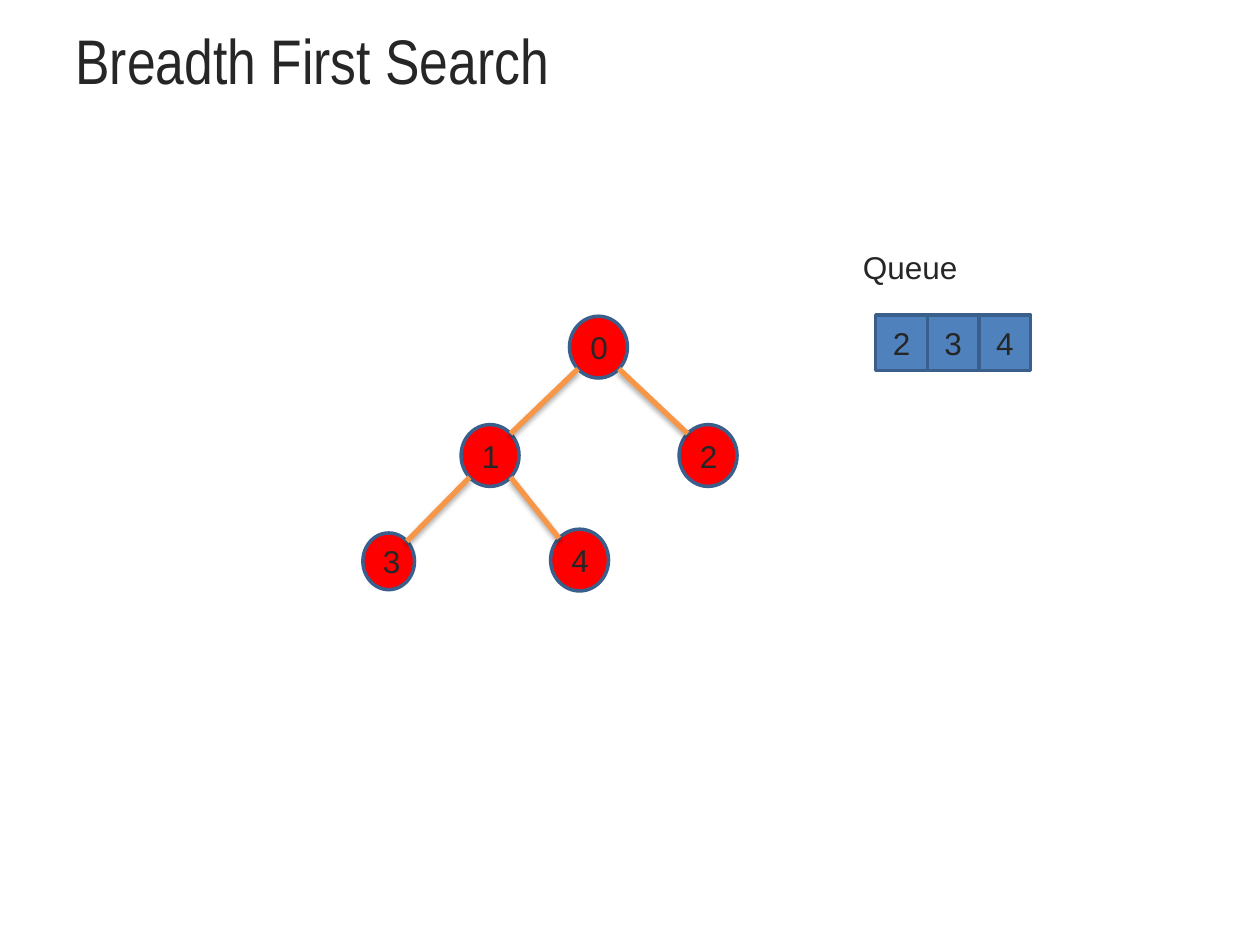
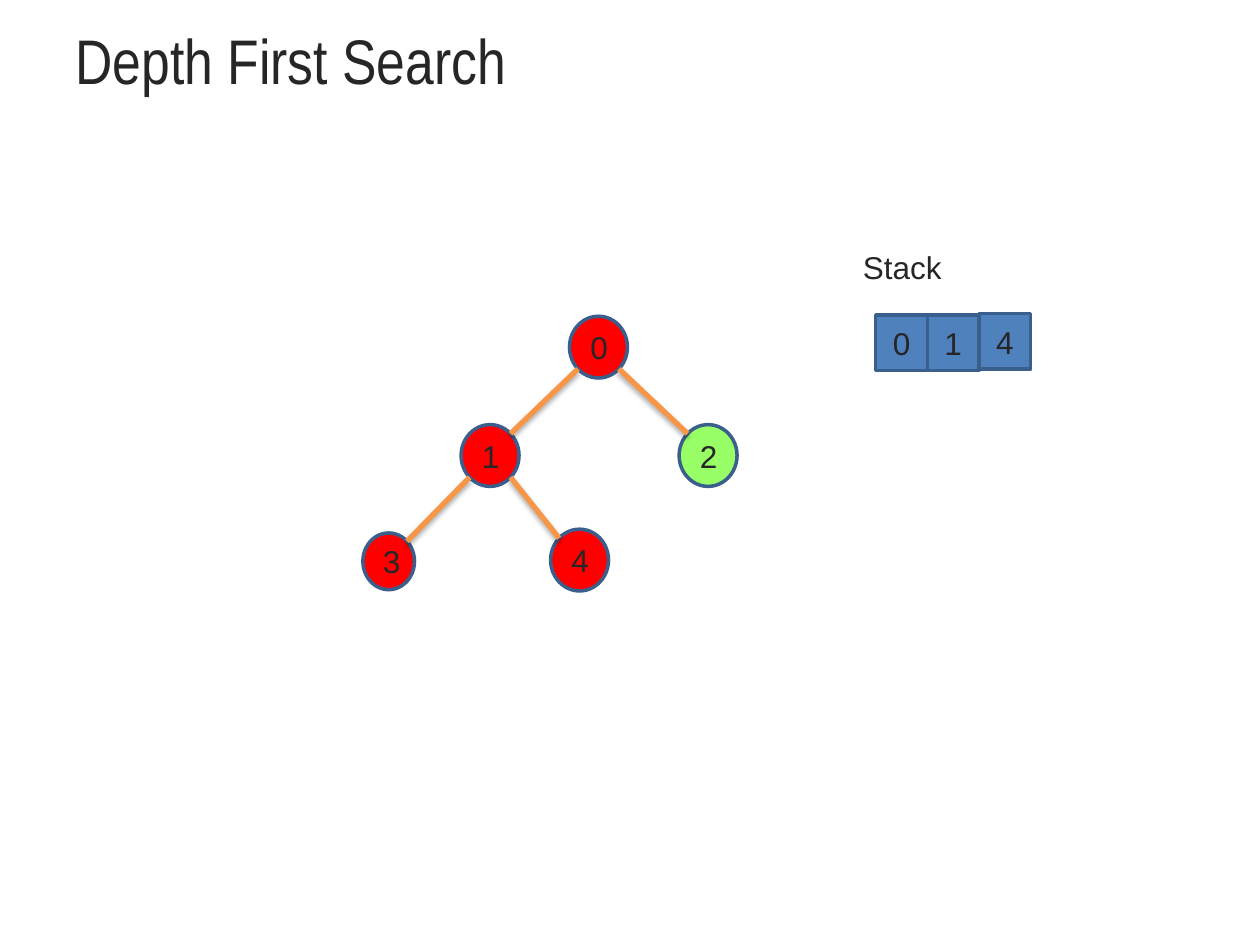
from math import copysign, sqrt

from lxml.etree import SubElement
from pptx import Presentation
from pptx.dml.color import RGBColor
from pptx.enum.shapes import MSO_CONNECTOR, MSO_SHAPE
from pptx.enum.text import MSO_ANCHOR, MSO_AUTO_SIZE, PP_ALIGN
from pptx.oxml.ns import qn
from pptx.util import Inches, Pt

# Shared style
INK = RGBColor(0x26, 0x26, 0x26)
VISITED = RGBColor(0xFF, 0x00, 0x00)
UNVISITED = RGBColor(0x99, 0xFF, 0x66)
CELL_FILL = RGBColor(0x4F, 0x81, 0xBD)
OUTLINE = RGBColor(0x3A, 0x5F, 0x8C)
EDGE = RGBColor(0xF7, 0x96, 0x46)
TITLE_FONT = "Arial Narrow"
BODY_FONT = "Arial"

# Tree: node -> left, top, width, height in inches; edges run parent to child
NODES = {
    "0": (4.52, 2.51, 0.46, 0.49),
    "1": (3.66, 3.37, 0.46, 0.49),
    "3": (2.88, 4.23, 0.41, 0.45),
    "4": (4.37, 4.20, 0.46, 0.49),
    "2": (5.39, 3.37, 0.46, 0.49),
}
EDGES = [("0", "1"), ("0", "2"), ("1", "3"), ("1", "4")]

# Row of cells that shows the queue or the stack
CELL_LEFT, CELL_TOP = 6.95, 2.5
CELL_WIDTH, CELL_HEIGHT = 0.41, 0.44


def style_text(frame, font_name, size, align):
    for paragraph in frame.paragraphs:
        paragraph.alignment = align
        for run in paragraph.runs:
            run.font.name = font_name
            run.font.size = Pt(size)
            run.font.color.rgb = INK


def add_title(slide, text):
    title = slide.shapes.title
    title.left, title.top = Inches(0.5), Inches(0.08)
    title.width, title.height = Inches(9), Inches(0.78)
    title.text_frame.text = text
    title.text_frame.vertical_anchor = MSO_ANCHOR.MIDDLE
    style_text(title.text_frame, TITLE_FONT, 36, PP_ALIGN.LEFT)


def add_numbered_shape(slide, preset, bounds, number, fill):
    numbered = slide.shapes.add_shape(preset, *map(Inches, bounds))
    numbered.shadow.inherit = False
    numbered.fill.solid()
    numbered.fill.fore_color.rgb = fill
    numbered.line.color.rgb = OUTLINE
    numbered.line.width = Pt(2)
    numbered.text_frame.text = number
    numbered.text_frame.vertical_anchor = MSO_ANCHOR.MIDDLE
    style_text(numbered.text_frame, BODY_FONT, 18, PP_ALIGN.CENTER)


def rim_point(node, x_side, y_side):
    """Diagonal point on a node's rim; each side is -1 or 1."""
    left, top, width, height = NODES[node]
    return (left + width / 2 * (1 + x_side / sqrt(2)),
            top + height / 2 * (1 + y_side / sqrt(2)))


def add_soft_shadow(connector):
    effects = SubElement(connector._element.spPr, qn("a:effectLst"))
    shadow = SubElement(effects, qn("a:outerShdw"), blurRad=str(Pt(3.1)),
                        dist=str(Pt(1.8)), dir="5400000", rotWithShape="0")
    color = SubElement(shadow, qn("a:srgbClr"), val="000000")
    SubElement(color, qn("a:alpha"), val="35000")


def add_edge(slide, parent, child):
    x_side = copysign(1, NODES[child][0] - NODES[parent][0])
    start = rim_point(parent, x_side, 1)
    end = rim_point(child, -x_side, -1)
    edge = slide.shapes.add_connector(MSO_CONNECTOR.STRAIGHT, *map(Inches, start + end))
    edge.line.color.rgb = EDGE
    edge.line.width = Pt(3)
    add_soft_shadow(edge)


def add_tree(slide, unvisited):
    for node, bounds in NODES.items():
        fill = UNVISITED if node in unvisited else VISITED
        add_numbered_shape(slide, MSO_SHAPE.OVAL, bounds, node, fill)
    for parent, child in EDGES:
        add_edge(slide, parent, child)


def add_store(slide, name, numbers, last_lift):
    """Label and cells; the last cell sits last_lift inches higher."""
    label = slide.shapes.add_textbox(Inches(6.75), Inches(1.92), Inches(1.56), Inches(0.4))
    label.text_frame.word_wrap = True
    label.text_frame.auto_size = MSO_AUTO_SIZE.SHAPE_TO_FIT_TEXT
    label.text_frame.text = name
    style_text(label.text_frame, BODY_FONT, 18, PP_ALIGN.LEFT)
    for column, number in enumerate(numbers):
        lift = last_lift if column == len(numbers) - 1 else 0
        bounds = (CELL_LEFT + column * CELL_WIDTH, CELL_TOP - lift, CELL_WIDTH, CELL_HEIGHT)
        add_numbered_shape(slide, MSO_SHAPE.RECTANGLE, bounds, number, CELL_FILL)


def add_search_slide(deck, title, store, numbers, unvisited="", last_lift=0):
    slide = deck.slides.add_slide(deck.slide_layouts.get_by_name("Title Only"))
    add_title(slide, title)
    add_tree(slide, unvisited)
    add_store(slide, store, numbers, last_lift)


def main():
    deck = Presentation()
    deck.slide_width, deck.slide_height = Inches(10), Inches(7.5)
    add_search_slide(deck, "Breadth First Search", "Queue", "234")
    add_search_slide(deck, "Depth First Search", "Stack", "014",
                     unvisited="2", last_lift=0.01)
    deck.save("out.pptx")


if __name__ == "__main__":
    main()
